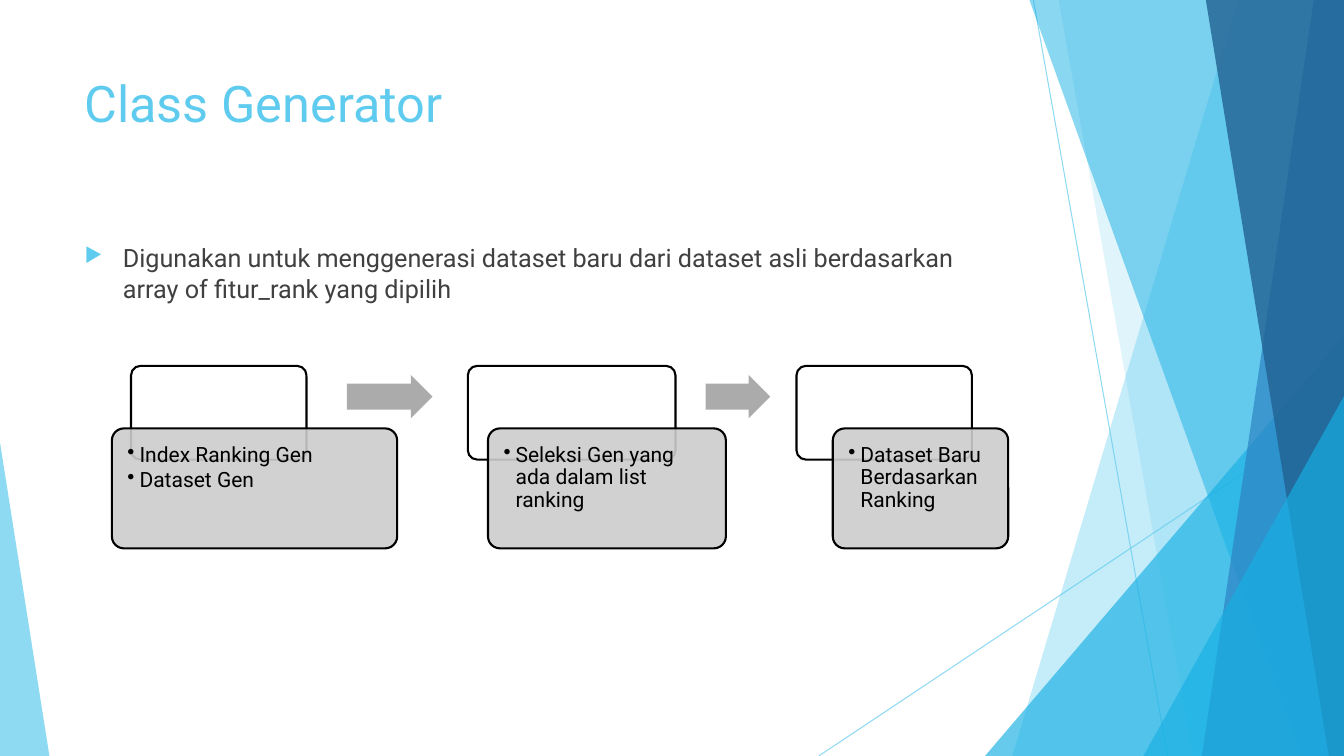
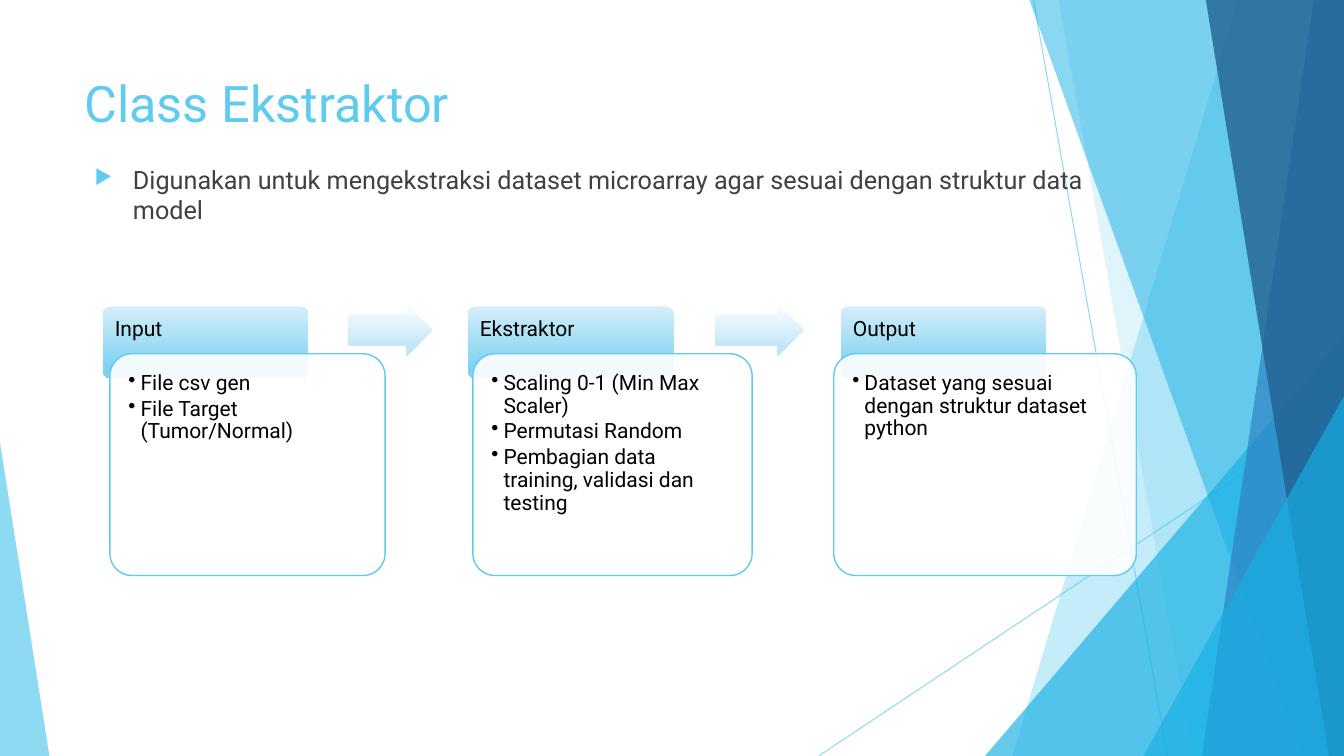
from lxml.etree import SubElement
from pptx import Presentation
from pptx.dml.color import RGBColor
from pptx.enum.shapes import MSO_CONNECTOR, MSO_SHAPE
from pptx.enum.text import MSO_ANCHOR, PP_ALIGN
from pptx.oxml.ns import qn
from pptx.util import Inches, Pt

FONT = "Roboto"
WIDE, HIGH = 13.33, 7.5
SKY, CYAN, BLUE, NAVY = "5FCBEF", "17B0E4", "2E83C3", "226292"
BLACK, WHITE, TEXT = "000000", "FFFFFF", "404040"

# Background lines: start and end point
LINES = [((10.25, 0), (11.58, HIGH)), ((WIDE, 4.03), (8.12, HIGH))]
# Background bands that reach the right edge: top x, bottom x, colour, opacity
# Background triangles: box, peak position, colour, opacity
DECOR = [
    ("band", (12.28, 10.04), SKY, 36),
    ("band", (10.5, 11.83), SKY, 20),
    ("peak", (9.77, 3.33, 3.56, 4.17, 1), CYAN, 66),
    ("band", (10.21, 12.91), CYAN, 50),
    ("band", (13.03, 11.92), BLUE, 70),
    ("band", (11.96, 13.18), NAVY, 80),
    ("peak", (11.34, 3.93, 1.99, 3.57, 1), CYAN, 66),
    ("peak", (0, 4.39, 0.49, 3.11, 0), SKY, 70),
]

# Rows are (top, height); heads, cards and arrows are (left, width)
SLIDES = [
    {
        "title": "Class Generator",
        "body": "Digunakan untuk menggenerasi dataset baru dari dataset asli "
                "berdasarkan array of fitur_rank yang dipilih",
        "place": (0.74, 2.36, 9.4, 4.24),
        "head": {"row": (3.63, 0.93), "fill": WHITE, "line": (BLACK, 1.5)},
        "card": {"row": (4.25, 1.19), "fill": "CCCCCC", "line": (BLACK, 1.5)},
        "arrow": {"row": (3.72, 0.43), "fill": "ABABAB"},
        "arrows": [(3.44, 0.85), (7, 0.64)],
        "steps": [
            ("", (1.3, 1.74), (1.11, 2.83), ["Index Ranking Gen", "Dataset Gen"]),
            ("", (4.64, 2.06), (4.84, 2.36), ["Seleksi Gen yang ada dalam list ranking"]),
            ("", (7.9, 1.74), (8.26, 1.74), ["Dataset Baru Berdasarkan Ranking"]),
        ],
    },
    {
        "title": "Class Ekstraktor",
        "body": "Digunakan untuk mengekstraksi dataset microarray agar sesuai "
                "dengan struktur data model",
        "place": (0.84, 1.58, 10.32, 4.24),
        "head": {"row": (3.04, 0.71), "fill": ("D4EEF9", "7DD1F1")},
        "card": {"row": (3.51, 2.2), "fill": WHITE, "line": (SKY, 1)},
        "arrow": {"row": (3.02, 0.51), "fill": ("FCFEFF", "BFE5F7")},
        "arrows": [(3.45, 0.84), (7.09, 0.88)],
        "steps": [
            ("Input", (1.02, 2.04), (1.09, 2.73),
             ["File csv gen", "File Target (Tumor/Normal)"]),
            ("Ekstraktor", (4.64, 2.04), (4.69, 2.77),
             ["Scaling 0-1 (Min Max Scaler)", "Permutasi Random",
              "Pembagian data training, validasi dan testing"]),
            ("Output", (8.34, 2.04), (8.27, 3),
             ["Dataset yang sesuai dengan struktur dataset python"]),
        ],
    },
]


def rgb(code):
    return RGBColor.from_string(code)


def fade(shape, opacity):
    """Set the opacity, in percent, of the first colour of a shape."""
    color = shape.element.spPr.find(".//" + qn("a:srgbClr"))
    SubElement(color, qn("a:alpha"), val=str(opacity * 1000))


def paint(shape, fill, line=None):
    """Fill with one colour, or with a pair as a downward gradient."""
    shape.shadow.inherit = False
    if isinstance(fill, tuple):
        shape.fill.gradient()
        shape.fill.gradient_angle = 270
        for stop, spot, code in zip(shape.fill.gradient_stops, (0, 0.88), fill):
            stop.position = spot
            stop.color.rgb = rgb(code)
    else:
        shape.fill.solid()
        shape.fill.fore_color.rgb = rgb(fill)
    if line:
        shape.line.color.rgb = rgb(line[0])
        shape.line.width = Pt(line[1])
    else:
        shape.line.fill.background()


def write(shape, texts, size, color, inset=(0.1, 0.05)):
    frame = shape.text_frame
    frame.word_wrap = True
    frame.vertical_anchor = MSO_ANCHOR.TOP
    frame.margin_left = frame.margin_right = Inches(inset[0])
    frame.margin_top = frame.margin_bottom = Inches(inset[1])
    frame.text = "\n".join(texts)
    for para in frame.paragraphs:
        para.alignment = PP_ALIGN.LEFT
        for run in para.runs:
            run.font.name = FONT
            run.font.size = Pt(size)
            run.font.color.rgb = rgb(color)
    return frame.paragraphs


def bullet(para, mark, indent, color=None, scale=100):
    props = para._p.get_or_add_pPr()
    props.set("marL", str(Inches(indent)))
    props.set("indent", str(-Inches(indent)))
    if color:
        SubElement(SubElement(props, qn("a:buClr")), qn("a:srgbClr"), val=color)
    SubElement(props, qn("a:buSzPct"), val=str(scale * 1000))
    SubElement(props, qn("a:buChar"), char=mark)


def tighten(para):
    para.line_spacing = 0.9
    para.space_after = Pt(2.25)


def add_box(slide, kind, span, style, adjust):
    (left, width), (top, height) = span, style["row"]
    shape = slide.shapes.add_shape(
        kind, Inches(left), Inches(top), Inches(width), Inches(height))
    for i, value in enumerate(adjust):
        shape.adjustments[i] = value
    paint(shape, style["fill"], style.get("line"))
    return shape


def add_text(slide, place, text, size, color):
    box = slide.shapes.add_textbox(*map(Inches, place))
    return write(box, [text], size, color)[0]


def add_band(slide, top, bottom):
    points = [(top, 0), (WIDE, 0), (WIDE, HIGH), (bottom, HIGH)]
    (x, y), *rest = [(Inches(a), Inches(b)) for a, b in points]
    form = slide.shapes.build_freeform(x, y)
    form.add_line_segments(rest, close=True)
    return form.convert_to_shape()


def add_decor(slide):
    for start, end in LINES:
        line = slide.shapes.add_connector(
            MSO_CONNECTOR.STRAIGHT, *map(Inches, start + end))
        line.line.color.rgb = rgb(SKY)
        line.line.width = Pt(0.75)
        fade(line, 70)
        SubElement(line.element.spPr, qn("a:effectLst"))
    for kind, place, color, opacity in DECOR:
        if kind == "band":
            shape = add_band(slide, *place)
        else:
            *box, peak = place
            shape = slide.shapes.add_shape(
                MSO_SHAPE.ISOSCELES_TRIANGLE, *map(Inches, box))
            shape.adjustments[0] = peak
        paint(shape, color)
        fade(shape, opacity)


def add_step(slide, data, name, head, card, items):
    box = add_box(slide, MSO_SHAPE.ROUNDED_RECTANGLE, head, data["head"], [0.1])
    if name:
        tighten(write(box, [name], 15, BLACK, (0.1, 0.1))[0])
    box = add_box(slide, MSO_SHAPE.ROUNDED_RECTANGLE, card, data["card"], [0.1])
    fade(box, 90)
    for para in write(box, items, 15, BLACK, (0.12, 0.12)):
        tighten(para)
        bullet(para, "•", 0.12)


def add_page(deck, data):
    slide = deck.slides.add_slide(deck.slide_layouts[6])
    add_decor(slide)
    add_text(slide, (0.74, 0.67, 9.4, 1.44), data["title"], 36, SKY)
    para = add_text(slide, data["place"], data["body"], 18, TEXT)
    bullet(para, "▶", 0.38, SKY, 80)
    for step in data["steps"]:
        add_step(slide, data, *step)
    for span in data["arrows"]:
        add_box(slide, MSO_SHAPE.RIGHT_ARROW, span, data["arrow"], [0.6, 0.5])


def main():
    deck = Presentation()
    deck.slide_width, deck.slide_height = Inches(WIDE), Inches(HIGH)
    for data in SLIDES:
        add_page(deck, data)
    deck.save("out.pptx")


if __name__ == "__main__":
    main()
